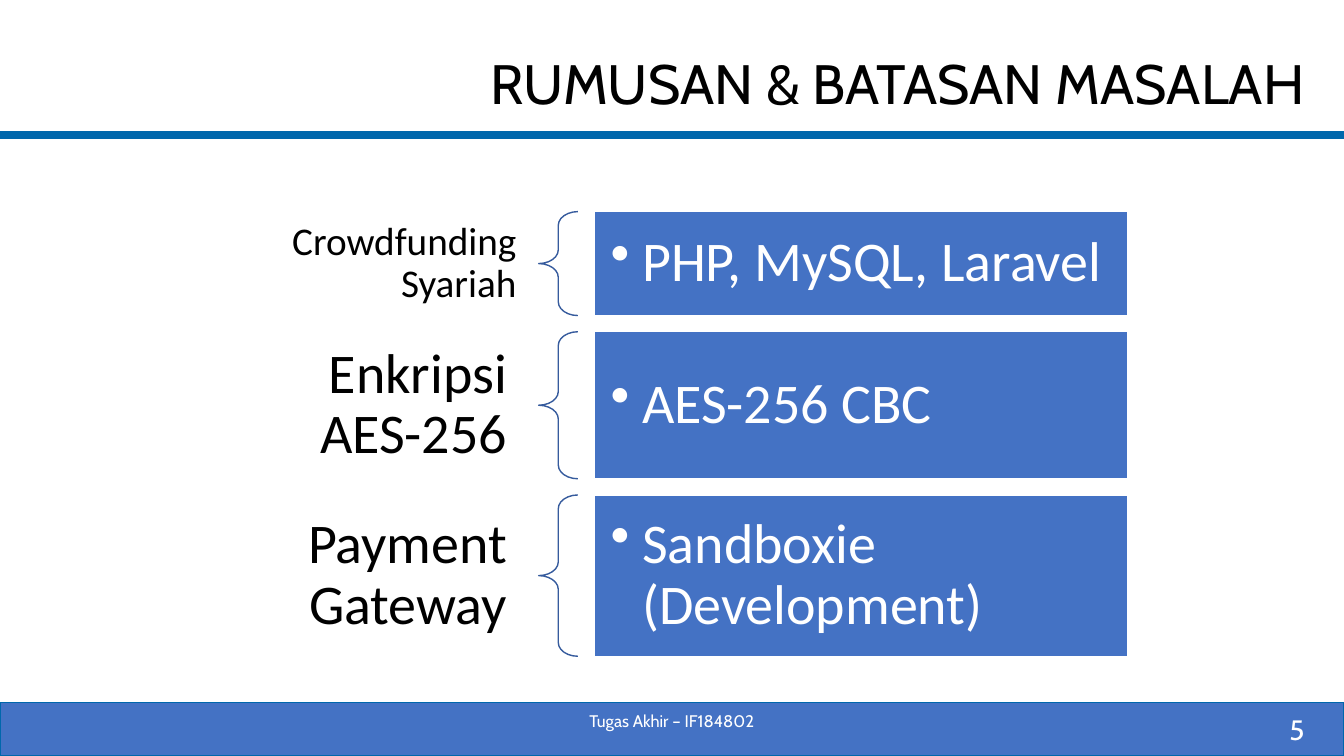
from dataclasses import dataclass

from lxml.etree import SubElement
from pptx import Presentation
from pptx.dml.color import RGBColor
from pptx.enum.shapes import MSO_CONNECTOR, MSO_SHAPE
from pptx.enum.text import MSO_ANCHOR, MSO_AUTO_SIZE, PP_ALIGN
from pptx.oxml.ns import qn
from pptx.shapes.autoshape import Shape
from pptx.slide import Slide
from pptx.text.text import TextFrame, _Paragraph
from pptx.util import Pt


@dataclass(frozen=True)
class Theme:
    blue: RGBColor = RGBColor(0x44, 0x72, 0xC4)
    rule: RGBColor = RGBColor(0x00, 0x67, 0xAC)
    brace: RGBColor = RGBColor(0x36, 0x5B, 0x9D)
    white: RGBColor = RGBColor(0xFF, 0xFF, 0xFF)
    black: RGBColor = RGBColor(0x00, 0x00, 0x00)
    heading_font: str = "Cabin"
    body_font: str = "Calibri"
    title_size: float = 39.6
    body_size: float = 40
    small_label_size: float = 28
    number_size: float = 20
    footer_size: float = 12


@dataclass(frozen=True)
class Area:
    """A rectangle on the slide, in points."""
    left: float
    top: float
    width: float
    height: float

    def lengths(self) -> tuple[Pt, Pt, Pt, Pt]:
        return Pt(self.left), Pt(self.top), Pt(self.width), Pt(self.height)


@dataclass(frozen=True)
class Topic:
    label: str
    scope: str
    height: float
    label_size: float
    label_inset: float


THEME = Theme()
PAGE_WIDTH, PAGE_HEIGHT = 960, 540
TOPICS_TOP, TOPIC_GAP = 151.2, 11.6
LABEL_LEFT, LABEL_WIDTH = 157.7, 227
BRACE_LEFT, BRACE_WIDTH = 384.8, 28
SCOPE_LEFT, SCOPE_WIDTH = 424.2, 381.5
SCOPE_INSET, BULLET_INDENT = 12, 22.5
TOPICS = (
    Topic("Crowdfunding Syariah", "PHP, MySQL, Laravel", 74.2, THEME.small_label_size, 15.8),
    Topic("Enkripsi AES-256", "AES-256 CBC", 105, THEME.body_size, 22.5),
    Topic("Payment Gateway", "Sandboxie (Development)", 115.2, THEME.body_size, 22.5),
)


def write(frame: TextFrame, text: str, font: str, size: float, color: RGBColor,
          align: PP_ALIGN, spacing: float = 1.0) -> _Paragraph:
    frame.word_wrap = True
    frame.auto_size = MSO_AUTO_SIZE.NONE
    frame.vertical_anchor = MSO_ANCHOR.MIDDLE
    para = frame.paragraphs[0]
    para.alignment = align
    para.line_spacing = spacing
    span = para.add_run()
    span.text = text
    span.font.name = font
    span.font.size = Pt(size)
    span.font.color.rgb = color
    return para


def set_side_insets(frame: TextFrame, inset: float) -> None:
    frame.margin_left = frame.margin_right = Pt(inset)


def add_bullet(para: _Paragraph, indent: float) -> None:
    properties = para._p.get_or_add_pPr()
    properties.set("marL", str(Pt(indent)))
    properties.set("indent", str(-Pt(indent)))
    SubElement(properties, qn("a:buChar")).set("char", "•")


def add_outlined(page: Slide, kind: MSO_SHAPE, area: Area, line: RGBColor,
                 fill: RGBColor | None = None) -> Shape:
    shape = page.shapes.add_shape(kind, *area.lengths())
    shape.shadow.inherit = False
    if fill is None:
        shape.fill.background()
    else:
        shape.fill.solid()
        shape.fill.fore_color.rgb = fill
    shape.line.color.rgb = line
    shape.line.width = Pt(1)
    return shape


def add_title(page: Slide, text: str) -> None:
    title = page.shapes.title
    title.left, title.top, title.width, title.height = Area(110.9, 16.6, 828, 60.5).lengths()
    write(title.text_frame, text, THEME.heading_font, THEME.title_size,
          THEME.black, PP_ALIGN.RIGHT, 1.5)


def add_title_rule(page: Slide) -> None:
    height = Pt(96.5)
    rule = page.shapes.add_connector(MSO_CONNECTOR.STRAIGHT, 0, height, Pt(PAGE_WIDTH), height)
    rule.line.color.rgb = THEME.rule
    rule.line.width = Pt(6)
    SubElement(rule._element.spPr, qn("a:effectLst"))


def add_topic(page: Slide, topic: Topic, top: float) -> None:
    """Draw a label, a brace and the bulleted scope box in one row."""
    label = page.shapes.add_textbox(*Area(LABEL_LEFT, top, LABEL_WIDTH, topic.height).lengths())
    set_side_insets(label.text_frame, topic.label_inset)
    write(label.text_frame, topic.label, THEME.body_font, topic.label_size,
          THEME.black, PP_ALIGN.RIGHT, 0.9)

    brace = add_outlined(page, MSO_SHAPE.LEFT_BRACE,
                         Area(BRACE_LEFT, top, BRACE_WIDTH, topic.height), THEME.brace)
    brace.adjustments[0] = 0.35

    scope = add_outlined(page, MSO_SHAPE.RECTANGLE,
                         Area(SCOPE_LEFT, top, SCOPE_WIDTH, topic.height),
                         THEME.white, THEME.blue)
    set_side_insets(scope.text_frame, SCOPE_INSET)
    para = scope.text_frame.paragraphs[0]
    add_bullet(para, BULLET_INDENT)
    para.level = 1
    write(scope.text_frame, topic.scope, THEME.body_font, THEME.body_size,
          THEME.white, PP_ALIGN.LEFT, 0.9)


def add_footer(page: Slide, text: str, number: str) -> None:
    add_outlined(page, MSO_SHAPE.RECTANGLE, Area(0, 501.8, PAGE_WIDTH, 38.2),
                 THEME.rule, THEME.blue)
    number_box = page.shapes.add_textbox(*Area(722.9, 506.2, 216, 28.8).lengths())
    write(number_box.text_frame, number, THEME.heading_font, THEME.number_size,
          THEME.white, PP_ALIGN.RIGHT)
    text_box = page.shapes.add_textbox(*Area(318, 500.4, 324, 28.8).lengths())
    write(text_box.text_frame, text, THEME.heading_font, THEME.footer_size,
          THEME.white, PP_ALIGN.CENTER)


def main() -> None:
    deck = Presentation()
    deck.slide_width, deck.slide_height = Pt(PAGE_WIDTH), Pt(PAGE_HEIGHT)
    page = deck.slides.add_slide(deck.slide_layouts.get_by_name("Title Only"))
    add_title(page, "RUMUSAN & BATASAN MASALAH")
    add_title_rule(page)
    add_footer(page, "Tugas Akhir – IF184802", "5")
    top = TOPICS_TOP
    for topic in TOPICS:
        add_topic(page, topic, top)
        top += topic.height + TOPIC_GAP
    deck.save("out.pptx")


if __name__ == "__main__":
    main()
